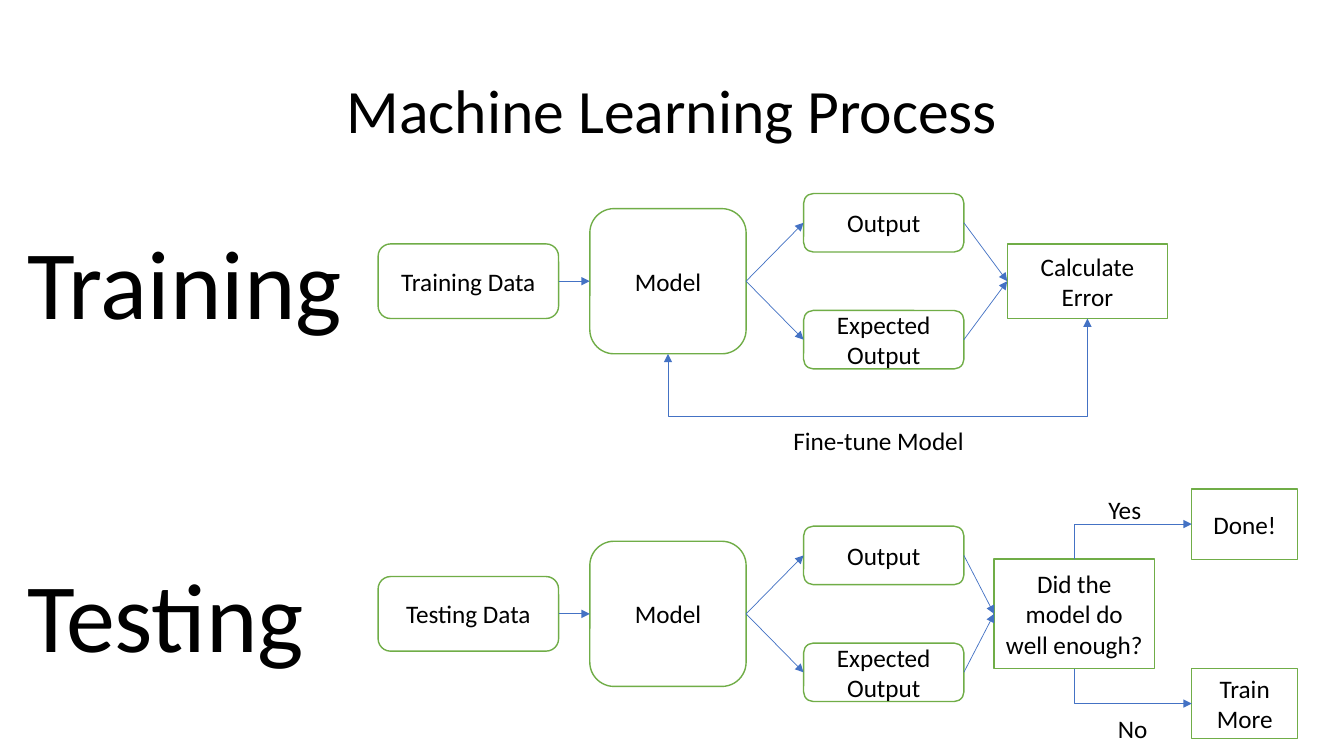
from pptx import Presentation
from pptx.dml.color import RGBColor
from pptx.enum.shapes import MSO_CONNECTOR as Link, MSO_SHAPE as Shape
from pptx.enum.text import MSO_ANCHOR as Anchor, MSO_AUTO_SIZE as AutoSize, PP_ALIGN as Align
from pptx.oxml.ns import qn
from pptx.util import Inches, Pt
from lxml.etree import SubElement

BLACK = RGBColor(0x00, 0x00, 0x00)
WHITE = RGBColor(0xFF, 0xFF, 0xFF)
GREEN = RGBColor(0x70, 0xAD, 0x47)
BLUE = RGBColor(0x44, 0x72, 0xC4)
FONT = "Calibri"
TOP, LEFT, BOTTOM, RIGHT = range(4)

TITLE = "Machine Learning Process"
PHASES = [
    {"name": "Training", "name_width": 3.33, "middle": 2.79, "data": "Training Data",
     "check": "Calculate Error", "check_left": 9.99, "check_height": 0.74},
    {"name": "Testing", "name_width": 2.97, "middle": 6.09, "data": "Testing Data",
     "check": "Did the model do well enough?", "check_left": 9.86, "check_height": 1.09},
]
RESULTS = [("Output", -0.58), ("Expected Output", 0.58)]
VERDICTS = [
    {"text": "Done!", "side": TOP, "middle": 5.2, "rotation": 90, "flips": ("flipH", "flipV")},
    {"text": "Train More", "side": BOTTOM, "middle": 6.98, "rotation": 270, "flips": ("flipH",)},
]
CAPTIONS = [
    ("Yes", 10.65, 4.85, 1.01, Align.CENTER),
    ("No", 10.73, 7.03, 1.01, Align.CENTER),
    ("Fine-tune Model", 7.77, 4.17, 2.18, Align.LEFT),
]
DATA_LEFT, MODEL_LEFT, RESULT_LEFT, VERDICT_LEFT = 3.75, 5.85, 7.97, 11.82
FEEDBACK_DEPTH = 2.78

deck = Presentation()
deck.slide_width, deck.slide_height = Inches(13.33), Inches(7.5)
page = deck.slides.add_slide(deck.slide_layouts[6])


def write(frame, text, size, align):
    frame.word_wrap = True
    para = frame.paragraphs[0]
    para.alignment = align
    span = para.add_run()
    span.text = text
    span.font.name, span.font.size = FONT, Pt(size)
    span.font.color.rgb = BLACK
    return para


def add_label(text, left, top, width, height, size=18, align=Align.LEFT):
    box = page.shapes.add_textbox(*map(Inches, (left, top, width, height)))
    write(box.text_frame, text, size, align)
    box.text_frame.auto_size = AutoSize.SHAPE_TO_FIT_TEXT


def add_box(text, left, middle, width, height, kind=Shape.ROUNDED_RECTANGLE):
    box = page.shapes.add_shape(kind, *map(Inches, (left, middle - height / 2, width, height)))
    box.shadow.inherit = False
    box.fill.solid()
    box.fill.fore_color.rgb = WHITE
    box.line.color.rgb = GREEN
    box.line.width = Pt(1)
    box.text_frame.vertical_anchor = Anchor.MIDDLE
    write(box.text_frame, text, 18, Align.CENTER)
    return box


def style_link(link, ends=("tailEnd",)):
    link.line.color.rgb = BLUE
    link.line.width = Pt(0.5)
    for end in ends:
        SubElement(link.get_or_add_ln(), qn(f"a:{end}"), type="triangle")
    SubElement(link._element.spPr, qn("a:effectLst"))


def join(start, finish):
    link = page.shapes.add_connector(Link.STRAIGHT, 0, 0, 0, 0)
    link.begin_connect(start, RIGHT)
    link.end_connect(finish, LEFT)
    style_link(link)


def side_point(box, side):
    return {
        TOP: (box.left + box.width // 2, box.top),
        LEFT: (box.left, box.top + box.height // 2),
        BOTTOM: (box.left + box.width // 2, box.top + box.height),
    }[side]


def bend(begin, end, preset, rotation, flips=(), depth=None, ends=("tailEnd",)):
    (x1, y1), (x2, y2) = begin, end
    width, height = abs(y2 - y1), abs(x2 - x1)
    left, top = (x1 + x2 - width) // 2, (y1 + y2 - height) // 2
    link = page.shapes.add_connector(Link.ELBOW, left, top, left + width, top + height)
    frame = link._element.spPr.find(qn("a:xfrm"))
    frame.set("rot", str(rotation * 60000))
    for flip in flips:
        frame.set(flip, "1")
    shape = link._element.spPr.find(qn("a:prstGeom"))
    shape.set("prst", preset)
    if depth:
        guides = shape.find(qn("a:avLst"))
        if guides is None:
            guides = SubElement(shape, qn("a:avLst"))
        SubElement(guides, qn("a:gd"), name="adj1", fmla=f"val {round(depth * 100000)}")
    style_link(link, ends)


heading = page.shapes.add_textbox(*map(Inches, (0.92, 0.4, 11.5, 1.45)))
heading.text_frame.vertical_anchor = Anchor.MIDDLE
write(heading.text_frame, TITLE, 44, Align.CENTER).line_spacing = 0.9

models, checks = [], []
for phase in PHASES:
    middle = phase["middle"]
    add_label(phase["name"], 0.17, middle - 0.64, phase["name_width"], 1.28, size=70)
    model = add_box("Model", MODEL_LEFT, middle, 1.55, 1.44)
    data = add_box(phase["data"], DATA_LEFT, middle, 1.79, 0.74)
    check = add_box(phase["check"], phase["check_left"], middle, 1.59,
                    phase["check_height"], Shape.RECTANGLE)
    join(data, model)
    for text, offset in RESULTS:
        result = add_box(text, RESULT_LEFT, middle + offset, 1.59, 0.58)
        join(model, result)
        join(result, check)
    models.append(model)
    checks.append(check)

for verdict in VERDICTS:
    box = add_box(verdict["text"], VERDICT_LEFT, verdict["middle"], 1.05, 0.7, Shape.RECTANGLE)
    bend(side_point(checks[1], verdict["side"]), side_point(box, LEFT),
         "bentConnector2", verdict["rotation"], verdict["flips"])

bend(side_point(checks[0], BOTTOM), side_point(models[0], BOTTOM), "bentConnector3", 90,
     depth=FEEDBACK_DEPTH, ends=("headEnd", "tailEnd"))

for text, left, top, width, align in CAPTIONS:
    add_label(text, left, top, width, 0.4, align=align)

deck.save("out.pptx")
